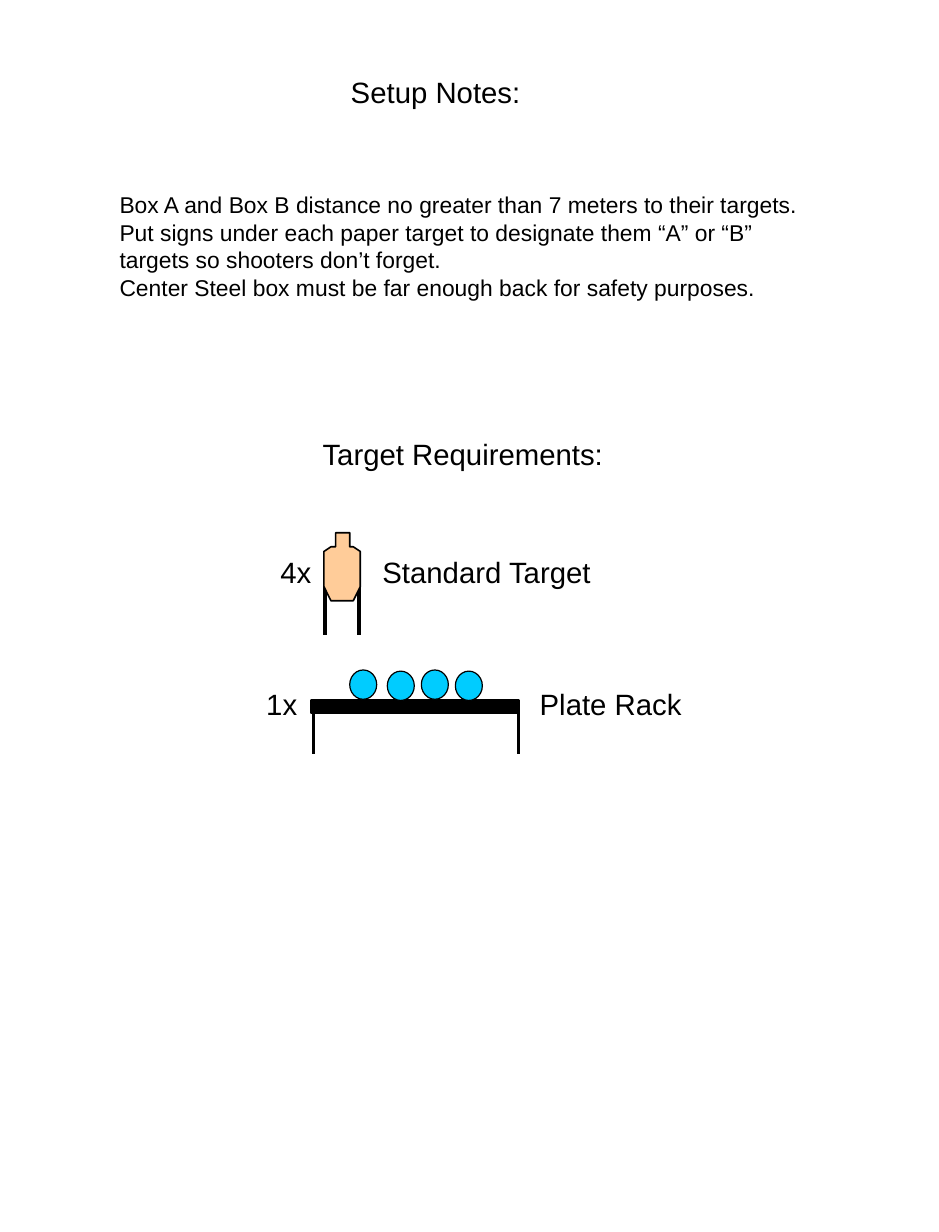
import pptx
import pptx.util
import pptx.dml.color
import pptx.enum.shapes
import pptx.enum.text
import lxml.etree

PX = 9144  # EMU per px, 100 px to the inch
BLACK, TAN, BLUE = "000000", "FFCC99", "00CCFF"

# Text: left, top, width, height, size, wrap, paragraphs
TEXTS = [
    (289, 58, 166, 40, 18, False, ["Setup Notes:"]),
    (92, 158, 617, 104, 14, True, [
        "Box A and Box B distance no greater than 7 meters to their targets. "
        "Put signs under each paper target to designate them “A” or “B” "
        "targets so shooters don’t forget.",
        "Center Steel box must be far enough back for safety purposes."]),
    (265, 367, 270, 40, 18, False, ["Target Requirements:"]),
    (229, 467, 47, 40, 18, False, ["4x"]),
    (316, 467, 202, 40, 18, False, ["Standard Target"]),
    (217, 580, 47, 40, 18, False, ["1x"]),
    (450, 580, 146, 40, 18, False, ["Plate Rack"]),
]
# Legs: x, top, bottom, line width
LEGS = [(277, 497, 541, 2.25), (306, 497, 541, 2.25),
        (267, 608, 643, 2), (442, 600, 643, 2)]
# Outline of the paper target
TARGET = [(286, 454), (298, 454), (298, 466), (301, 466), (307, 470), (307, 500),
          (301, 512), (282, 512), (276, 500), (276, 470), (282, 466), (286, 466)]
RACK = (265, 597, 177, 11)
# Plates: left, top
PLATES = [(298, 571), (330, 572), (359, 571), (388, 572)]

deck = pptx.Presentation()
deck.slide_width, deck.slide_height = 800 * PX, 1050 * PX
slide = deck.slides.add_slide(deck.slide_layouts[6])
shapes = slide.shapes
KIND = pptx.enum.shapes.MSO_SHAPE


def color(code):
    return pptx.dml.color.RGBColor.from_string(code)


def paint(shape, fill, width):
    shape.shadow.inherit = False
    shape.fill.solid()
    shape.fill.fore_color.rgb = color(fill)
    shape.line.color.rgb = color(BLACK)
    shape.line.width = pptx.util.Pt(width)


def add_text(left, top, width, height, size, wrap, lines):
    box = shapes.add_textbox(left * PX, top * PX, width * PX, height * PX)
    frame = box.text_frame
    frame.word_wrap = wrap
    frame.auto_size = pptx.enum.text.MSO_AUTO_SIZE.SHAPE_TO_FIT_TEXT
    frame.text = "\n".join(lines)
    for para in frame.paragraphs:
        for run in para.runs:
            run.font.name = "Arial"
            run.font.size = pptx.util.Pt(size)
            run.font.color.rgb = color(BLACK)


def add_leg(x, top, bottom, width):
    leg = shapes.add_connector(pptx.enum.shapes.MSO_CONNECTOR.STRAIGHT,
                               x * PX, top * PX, x * PX, bottom * PX)
    leg.line.color.rgb = color(BLACK)
    leg.line.width = pptx.util.Pt(width)
    lxml.etree.SubElement(leg._element.spPr, pptx.oxml.ns.qn("a:effectLst"))


def add_shape(kind, left, top, width, height, fill, line):
    shape = shapes.add_shape(kind, left * PX, top * PX, width * PX, height * PX)
    paint(shape, fill, line)


# Headings, notes and labels
for text in TEXTS:
    add_text(*text)

# Legs of the target stand and the rack
for leg in LEGS:
    add_leg(*leg)

# Paper target
pen = shapes.build_freeform(*TARGET[0], scale=PX)
pen.add_line_segments(TARGET[1:], close=True)
paint(pen.convert_to_shape(), TAN, 1)

# Plate rack
add_shape(KIND.RECTANGLE, *RACK, BLACK, 1.25)
for left, top in PLATES:
    add_shape(KIND.OVAL, left, top, 23, 25, BLUE, 0.75)

deck.save("out.pptx")
